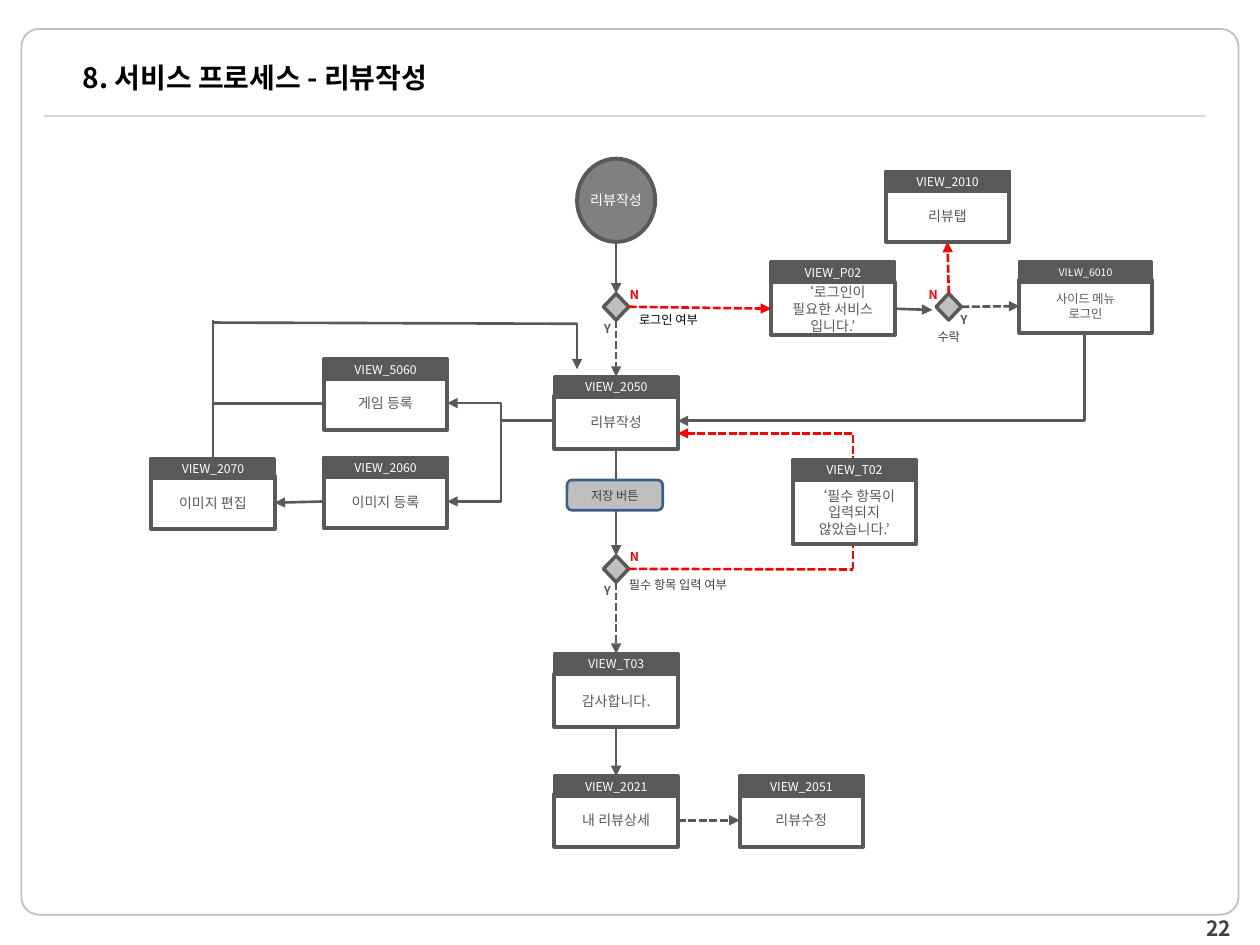
from pptx import Presentation
from pptx.dml.color import RGBColor
from pptx.enum.dml import MSO_LINE
from pptx.enum.shapes import MSO_CONNECTOR, MSO_SHAPE
from pptx.enum.text import MSO_ANCHOR, MSO_AUTO_SIZE, PP_ALIGN
from pptx.oxml.ns import qn
from pptx.util import Inches, Pt
from lxml.etree import SubElement

THEME = dict(
    font="Noto Sans CJK KR", black="000000", white="FFFFFF", dark="595959",
    ink="404040", mid="808080", pale="BFBFBF", rule="D9D9D9", red="FF0000",
    blue="3A5F8C", title=16, page=12, body=8, small=7, tiny=6,
)

# Content: key, left, head top, body top, body height, text
CARDS = [
    ("VIEW_2010", 7.03, 1.36, 1.50, 0.42, "리뷰탭"),
    ("VIEW_P02", 6.12, 2.08, 2.24, 0.42, "‘로그인이\v필요한 서비스 입니다.’"),
    ("VIEW_6010", 8.09, 2.08, 2.22, 0.42, "사이드 메뉴\v로그인"),
    ("VIEW_5060", 2.57, 2.85, 2.99, 0.42, "게임 등록"),
    ("VIEW_2050", 4.40, 2.99, 3.14, 0.42, "리뷰작성"),
    ("VIEW_2060", 2.57, 3.63, 3.77, 0.42, "이미지 등록"),
    ("VIEW_2070", 1.20, 3.64, 3.78, 0.42, "이미지 편집"),
    ("VIEW_T03", 4.40, 5.19, 5.35, 0.42, "감사합니다."),
    ("VIEW_2021", 4.40, 6.16, 6.30, 0.42, "내 리뷰상세"),
    ("VIEW_2051", 5.87, 6.16, 6.30, 0.42, "리뷰수정"),
]
TOAST = ("VIEW_T02", 6.29, 3.65, 3.81, 0.51, "‘필수 항목이\v입력되지\v않았습니다.’")
WIDTH = 0.98
WIDE = {"VIEW_6010": (1.05, "small", "tiny")}  # width, body size, head size
GATES = {"login": (4.79, 2.33), "agree": (7.43, 2.33), "fields": (4.79, 4.41)}

# Bent lines: start, end, share of the run before the turn, colour, dashed
BENDS = [
    ((8.61, 2.64), (5.38, 3.34), 0, "dark", False),
    ((4.40, 3.34), (3.55, 3.20), 0.5, "dark", False),
    ((4.40, 3.34), (3.55, 3.98), 0.5, "dark", False),
    ((6.77, 4.52), (5.38, 3.44), 0, "red", True),
]

# Straight lines: each end is a point or (key, side); colour, dashed, arrow
TOP, LEFT, BOTTOM, RIGHT = range(4)
LINKS = [
    (("start", BOTTOM), ("login", TOP), "dark", False, True),
    (("login", RIGHT), ("VIEW_P02", LEFT), "red", True, True),
    (("login", BOTTOM), ("VIEW_2050", TOP), "dark", True, True),
    (("VIEW_P02", RIGHT), (7.40, 2.46), "dark", False, True),
    (("agree", TOP), ("VIEW_2010", BOTTOM), "red", True, True),
    (("agree", RIGHT), ("VIEW_6010", LEFT), "dark", True, True),
    (("VIEW_2050", BOTTOM), ("fields", TOP), "dark", False, True),
    (("fields", RIGHT), (6.77, 4.52), "red", True, False),
    (("fields", BOTTOM), ("VIEW_T03", TOP), "dark", True, True),
    (("VIEW_T03", BOTTOM), ("VIEW_2021", TOP), "dark", False, True),
    (("VIEW_2021", RIGHT), ("VIEW_2051", LEFT), "dark", True, True),
    (("VIEW_2060", LEFT), ("VIEW_2070", RIGHT), "dark", False, True),
    (("VIEW_2070", TOP), (1.69, 2.54), "dark", False, False),
    (("VIEW_5060", LEFT), (1.69, 3.20), "dark", False, False),
    ((1.69, 2.56), (4.58, 2.57), "dark", False, False),
    ((4.58, 2.56), (4.58, 2.93), "dark", False, True),
    ((8.51, 2.15), (8.51, 2.17), "dark", False, True),
]

# Labels: text, left, top, width, colour, bold
LABELS = [
    ("N", 4.91, 2.24, 0.24, "red", True),
    ("Y", 4.70, 2.51, 0.24, "dark", True),
    ("로그인 여부", 4.97, 2.44, 0.67, "black", False),
    ("N", 7.28, 2.24, 0.24, "red", True),
    ("Y", 7.53, 2.44, 0.24, "dark", True),
    ("수락", 7.35, 2.57, 0.36, "ink", False),
    ("N", 4.91, 4.32, 0.24, "red", True),
    ("Y", 4.70, 4.59, 0.24, "dark", True),
    ("필수 항목 입력 여부", 4.85, 4.54, 1.06, "ink", False),
]

deck = Presentation()
deck.slide_width, deck.slide_height = Inches(10), Inches(7.5)
slide = deck.slides.add_slide(deck.slide_layouts[6])
nodes = {}


def paint(name):
    return RGBColor.from_string(THEME[name])


def write(shape, text, size="small", color="dark", bold=False,
          align=PP_ALIGN.CENTER, anchor=MSO_ANCHOR.MIDDLE, wrap=True,
          pad=(0.09, 0.04)):
    frame = shape.text_frame
    frame.word_wrap = wrap
    frame.vertical_anchor = anchor
    frame.margin_left = frame.margin_right = Inches(pad[0])
    frame.margin_top = frame.margin_bottom = Inches(pad[1])
    para = frame.paragraphs[0]
    para.text = text
    para.alignment = align
    for run in para.runs:
        font = run.font
        font.name, font.size, font.bold = THEME["font"], Pt(THEME[size]), bold
        font.color.rgb = paint(color)
        SubElement(run._r.rPr, qn("a:ea"), typeface=THEME["font"])


def block(kind, left, top, width, height, fill, edge="dark", weight=2.25):
    shape = slide.shapes.add_shape(
        kind, Inches(left), Inches(top), Inches(width), Inches(height))
    shape.shadow.inherit = False
    if fill:
        shape.fill.solid()
        shape.fill.fore_color.rgb = paint(fill)
    else:
        shape.fill.background()
    shape.line.color.rgb = paint(edge)
    shape.line.width = Pt(weight)
    return shape


def label(text, left, top, width, height, **form):
    box = slide.shapes.add_textbox(
        Inches(left), Inches(top), Inches(width), Inches(height))
    write(box, text, **form)
    return box


def card(key, left, top, low, height, text):
    width, size, cap = WIDE.get(key, (WIDTH, "body", "small"))
    body = block(MSO_SHAPE.RECTANGLE, left, low, width, height, "white")
    write(body, text, size=size)
    head = block(MSO_SHAPE.RECTANGLE, left, top, width, 0.16, "dark", weight=2)
    write(head, key, size=cap, color="white")
    nodes[key] = (head, body, body, body)  # shape that owns each side


def link(start, end, color="dark", dash=False, arrow=True, turn=None):
    kind = MSO_CONNECTOR.STRAIGHT if turn is None else MSO_CONNECTOR.ELBOW
    ends = [(0, 0) if spot[0] in nodes else spot for spot in (start, end)]
    line = slide.shapes.add_connector(
        kind, *(Inches(n) for spot in ends for n in spot))
    for spot, join in ((start, line.begin_connect), (end, line.end_connect)):
        if spot[0] in nodes:
            key, side = spot
            join(nodes[key][side], side)
    line.line.color.rgb = paint(color)
    line.line.width = Pt(1.5)
    if dash:
        line.line.dash_style = MSO_LINE.SQUARE_DOT
    props = line._element.spPr
    if arrow:
        SubElement(props.find(qn("a:ln")), qn("a:tailEnd"), type="triangle")
    SubElement(props, qn("a:effectLst"))
    if turn is not None:
        guides = props.find(qn("a:prstGeom")).get_or_add_avLst()
        SubElement(guides, qn("a:gd"), name="adj1",
                   fmla=f"val {int(turn * 100000)}")


# Page frame, title and number
frame = block(MSO_SHAPE.ROUNDED_RECTANGLE, 0.17, 0.23, 9.66, 7.03, None, "pale", 1)
frame.adjustments[0] = 0.02
link((0.35, 0.92), (9.57, 0.92), "rule", arrow=False)
label("22", 7.54, 7.29, 2.33, 0.16, size="page", color="ink", bold=True,
      align=PP_ALIGN.RIGHT, pad=(0.1, 0.05))
label("8. 서비스 프로세스 - 리뷰작성", 0.56, 0.18, 8.87, 0.86, size="title",
      color="black", bold=True, align=PP_ALIGN.LEFT, pad=(0.1, 0.05))

# Start, decisions and screens
start = block(MSO_SHAPE.OVAL, 4.58, 1.26, 0.62, 0.66, "mid")
write(start, "리뷰작성", size="body", color="white", wrap=False)
# An oval has eight sites, counted from the top; the bottom is the fifth
nodes["start"] = (start,) * 4
for key, (left, top) in GATES.items():
    gate = block(MSO_SHAPE.FLOWCHART_DECISION, left, top, 0.2, 0.21, "pale", weight=2)
    nodes[key] = (gate,) * 4
for item in CARDS:
    card(*item)

# The notice covers part of a bent line
for begin, end, turn, color, dash in BENDS:
    link(begin, end, color, dash, turn=turn)
card(*TOAST)

# Straight flow
for begin, end, color, dash, arrow in LINKS:
    if begin[0] == "start":
        begin = (4.89, 1.92)
    link(begin, end, color, dash, arrow)

# Save button over the flow
button = block(MSO_SHAPE.ROUNDED_RECTANGLE, 4.5, 3.81, 0.76, 0.24, "pale", "blue", 1.5)
write(button, "저장 버튼", color="ink")

# Branch labels
for text, left, top, width, color, bold in LABELS:
    note = label(text, left, top, width, 0.21, color=color, bold=bold,
                 anchor=MSO_ANCHOR.TOP, wrap=False)
    note.text_frame.auto_size = MSO_AUTO_SIZE.SHAPE_TO_FIT_TEXT

deck.save("out.pptx")
